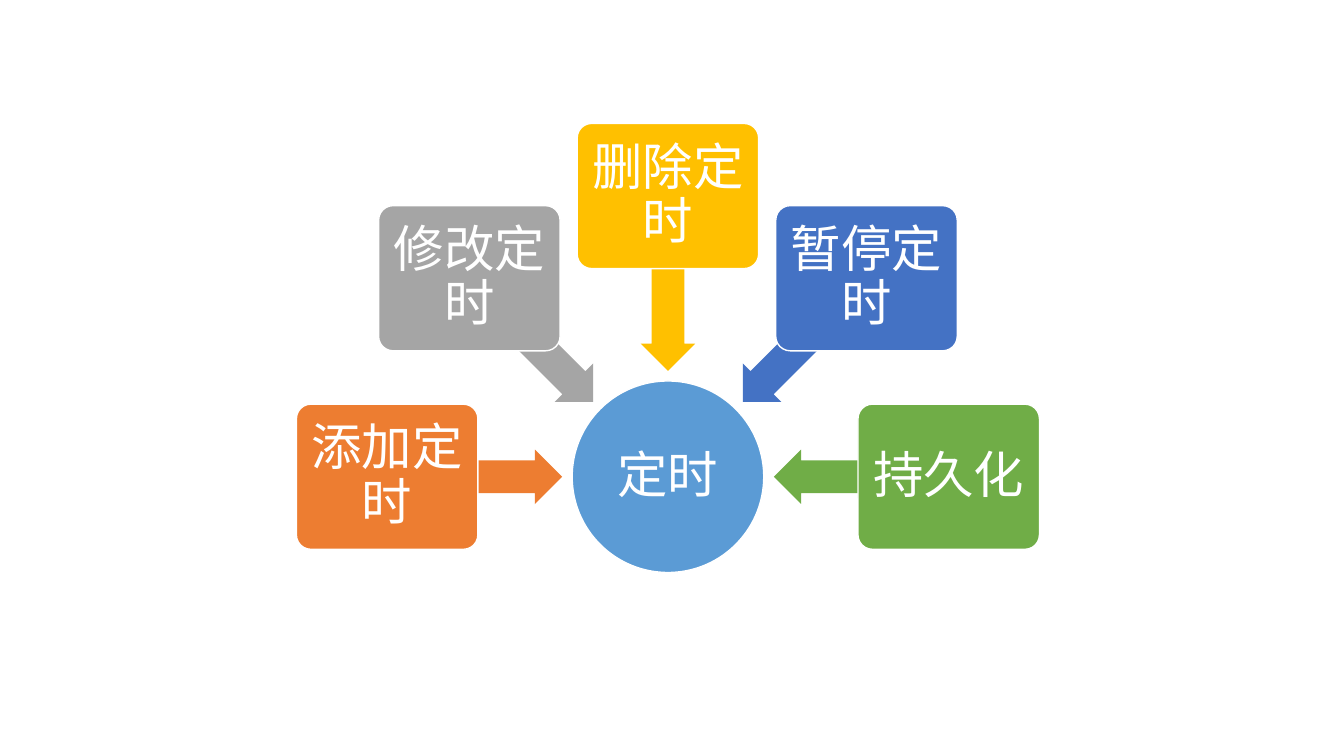
from dataclasses import dataclass
from math import cos, radians, sin

from pptx import Presentation
from pptx.dml.color import RGBColor
from pptx.enum.shapes import MSO_SHAPE
from pptx.enum.text import MSO_ANCHOR, PP_ALIGN
from pptx.util import Inches, Pt

CIRCLE = MSO_SHAPE.OVAL
CARD = MSO_SHAPE.ROUNDED_RECTANGLE
ARROW = MSO_SHAPE.LEFT_ARROW
MIDDLE = MSO_ANCHOR.MIDDLE
CENTER = PP_ALIGN.CENTER


@dataclass(frozen=True)
class Theme:
    font: str = "Calibri"
    label_size: float = 36
    label_gap: float = 12.6
    outline: float = 1
    white: str = "FFFFFF"
    hub: str = "5B9BD5"
    orange: str = "ED7D31"
    gray: str = "A5A5A5"
    gold: str = "FFC000"
    blue: str = "4472C4"
    green: str = "70AD47"


THEME = Theme()
HUB_LABEL = "定时"
# Features run clockwise from the left of the hub
FEATURES = [
    ("添加定时", THEME.orange),
    ("修改定时", THEME.gray),
    ("删除定时", THEME.gold),
    ("暂停定时", THEME.blue),
    ("持久化", THEME.green),
]
HUB_SIZE = (1.9, 1.9)
CARD_SIZE = (1.8, 1.44)
ARROW_SIZE = (1.73, 0.54)


def add_centered(slide, kind, center, size, color):
    """Add a filled shape around its centre point."""
    (x, y), (width, height) = center, size
    shape = slide.shapes.add_shape(
        kind, Inches(x - width / 2), Inches(y - height / 2),
        Inches(width), Inches(height))
    shape.shadow.inherit = False
    shape.fill.solid()
    shape.fill.fore_color.rgb = RGBColor.from_string(color)
    shape.line.fill.background()
    return shape


def add_label(shape, label, inset):
    """Outline a shape in white and write its label inside."""
    white = RGBColor.from_string(THEME.white)
    shape.line.color.rgb = white
    shape.line.width = Pt(THEME.outline)
    frame = shape.text_frame
    frame.word_wrap = True
    frame.vertical_anchor = MIDDLE
    frame.margin_left = frame.margin_right = Inches(inset)
    frame.margin_top = frame.margin_bottom = Inches(inset)
    paragraph = frame.paragraphs[0]
    paragraph.alignment = CENTER
    paragraph.line_spacing = 0.9
    paragraph.space_after = Pt(THEME.label_gap)
    run = paragraph.add_run()
    run.text = label
    run.font.name = THEME.font
    run.font.size = Pt(THEME.label_size)
    run.font.color.rgb = white


def add_feature(slide, hub_center, angle, card_radius, label, color):
    """Place an arrow and its card on the ray at the given angle."""
    def on_ray(radius):
        return (hub_center[0] + radius * cos(radians(angle)),
                hub_center[1] + radius * sin(radians(angle)))

    arrow = add_centered(slide, ARROW, on_ray(card_radius - 0.87), ARROW_SIZE, color)
    arrow.adjustments[0] = 0.6
    arrow.adjustments[1] = 0.5
    arrow.rotation = angle % 360

    card = add_centered(slide, CARD, on_ray(card_radius), CARD_SIZE, color)
    card.adjustments[0] = 0.1
    add_label(card, label, 0.07)


def add_radial_diagram(slide, left, top, width, height):
    """Fill the box with a hub at the bottom and features in a half circle."""
    card_radius = (width - CARD_SIZE[0]) / 2
    hub_center = (left + width / 2, top + height - HUB_SIZE[1] / 2)

    # Hub
    hub = add_centered(slide, CIRCLE, hub_center, HUB_SIZE, THEME.hub)
    add_label(hub, HUB_LABEL, 0.03)

    # Features
    step = 180 / (len(FEATURES) - 1)
    for index, (label, color) in enumerate(FEATURES):
        add_feature(slide, hub_center, 180 + index * step, card_radius, label, color)


def main():
    deck = Presentation()
    deck.slide_width = Inches(13.33)
    deck.slide_height = Inches(7.5)
    slide = deck.slides.add_slide(deck.slide_layouts[6])
    add_radial_diagram(slide, 2.94, 1.22, 7.37, 4.46)
    deck.save("out.pptx")


if __name__ == "__main__":
    main()
